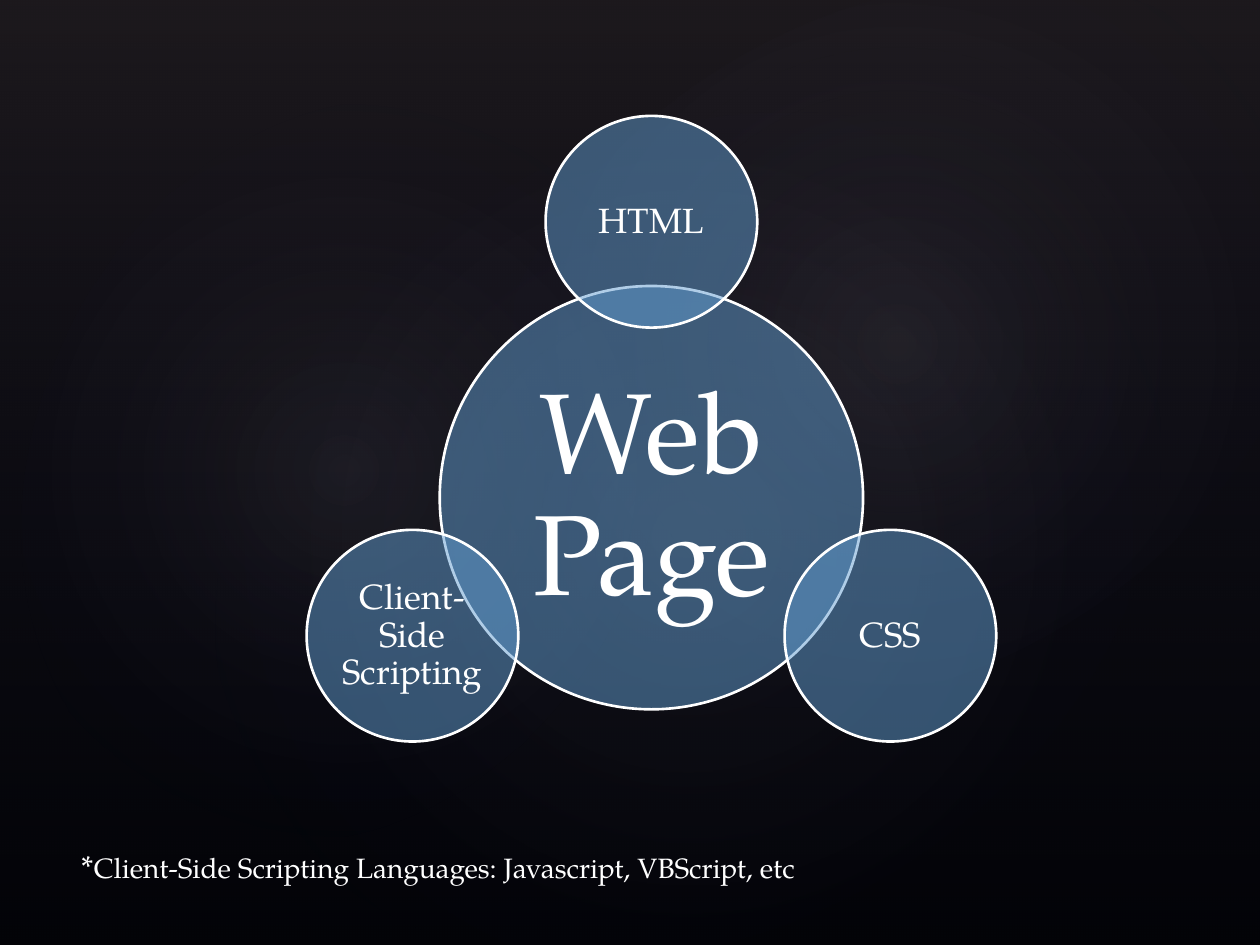
from dataclasses import dataclass
from math import cos, radians, sin

from pptx import Presentation
from pptx.dml.color import RGBColor as RGB
from pptx.enum.shapes import MSO_SHAPE as Kind
from pptx.enum.text import MSO_ANCHOR as Anchor, MSO_AUTO_SIZE as Fit, PP_ALIGN as Align
from pptx.oxml import parse_xml
from pptx.oxml.ns import nsdecls, qn
from pptx.util import Inches, Pt


@dataclass(frozen=True)
class Theme:
    font: str = "TeX Gyre Pagella"
    back: str = "000000"
    text: str = "FFFFFF"
    disc: str = "629DD1"
    dusk: str = "504652"
    navy: str = "242852"
    glow: str = "C4BCC6"
    hub: int = 65
    node: int = 20
    star: int = 18
    note: int = 16
    line: float = 1.5


THEME = Theme()
HUB = (5.17, 3.95)
ORBIT = 2.19
NODES = [("HTML", -90), ("CSS", 30), ("Client-Side Scripting", 150)]

# Left, top, width, height, rotation, opacity of the centre
GLOWS = [
    (1.5, 1.14, 7.92, 6.24, 328.7, 7),
    (-0.3, 1.28, 6.06, 4.9, 294.3, 8),
    (3.58, 0.13, 7.09, 5.2, 328.7, 8),
]
DOWN = '<a:lin ang="5400000" scaled="0"/>'
ROUND = ('<a:path path="circle">'
         '<a:fillToRect l="50000" t="50000" r="50000" b="50000"/></a:path>')


def add_shape(slide, kind, *box):
    shape = slide.shapes.add_shape(kind, *map(Inches, box))
    shape.shadow.inherit = False
    return shape


def fade(shape, stops, course):
    """Fill with a gradient of (position, colour, opacity) stops."""
    marks = "".join(
        f'<a:gs pos="{pos * 1000}"><a:srgbClr val="{tint}">'
        f'<a:alpha val="{alpha * 1000}"/></a:srgbClr></a:gs>'
        for pos, tint, alpha in stops)
    grad = parse_xml(f'<a:gradFill {nsdecls("a")} rotWithShape="1">'
                     f'<a:gsLst>{marks}</a:gsLst>{course}</a:gradFill>')
    shape.fill.gradient()
    old = shape.element.spPr.find(qn("a:gradFill"))
    old.getparent().replace(old, grad)
    shape.line.fill.background()


def style(run, size):
    run.font.name = THEME.font
    run.font.size = Pt(size)
    run.font.color.rgb = RGB.from_string(THEME.text)


def add_back(slide):
    fill = slide.background.fill
    fill.solid()
    fill.fore_color.rgb = RGB.from_string(THEME.back)
    veil = add_shape(slide, Kind.RECTANGLE, 0, 0, 10, 7.5)
    fade(veil, [(0, THEME.dusk, 36), (100, THEME.navy, 10)], DOWN)
    for *box, turn, alpha in GLOWS:
        glow = add_shape(slide, Kind.OVAL, *box)
        glow.rotation = turn
        fade(glow, [(0, THEME.glow, alpha), (58, THEME.navy, 0)], ROUND)


def add_disc(slide, text, x, y, width, size, inset):
    disc = add_shape(slide, Kind.OVAL, x - width / 2, y - width / 2, width, width)
    disc.fill.solid()
    disc.fill.fore_color.rgb = RGB.from_string(THEME.disc)
    tint = disc.element.spPr.find(qn("a:solidFill"))[0]
    tint.append(parse_xml(f'<a:alpha {nsdecls("a")} val="50000"/>'))
    disc.line.color.rgb = RGB.from_string(THEME.text)
    disc.line.width = Pt(THEME.line)

    frame = disc.text_frame
    frame.text = text
    frame.word_wrap = True
    frame.vertical_anchor = Anchor.MIDDLE
    frame.margin_left = frame.margin_right = Inches(inset)
    frame.margin_top = frame.margin_bottom = Inches(inset)
    para = frame.paragraphs[0]
    para.alignment = Align.CENTER
    para.line_spacing = 0.9
    style(para.runs[0], size)


def add_note(slide, mark, text):
    box = slide.shapes.add_textbox(*map(Inches, (0.55, 6.67, 9, 0.4)))
    frame = box.text_frame
    frame.word_wrap = True
    frame.auto_size = Fit.SHAPE_TO_FIT_TEXT
    para = frame.paragraphs[0]
    para.text = mark
    style(para.runs[0], THEME.star)
    run = para.add_run()
    run.text = text
    style(run, THEME.note)


def main():
    deck = Presentation()
    deck.slide_width, deck.slide_height = Inches(10), Inches(7.5)
    slide = deck.slides.add_slide(deck.slide_layouts[6])
    add_back(slide)

    # Hub with its satellites evenly spaced around it
    x, y = HUB
    add_disc(slide, "Web Page", x, y, 3.36, THEME.hub, 0.09)
    for text, angle in NODES:
        turn = radians(angle)
        add_disc(slide, text, x + ORBIT * cos(turn), y + ORBIT * sin(turn),
                 1.68, THEME.node, 0.03)

    # Footnote
    add_note(slide, "*", "Client-Side Scripting Languages: Javascript, VBScript, etc")
    deck.save("out.pptx")


if __name__ == "__main__":
    main()
